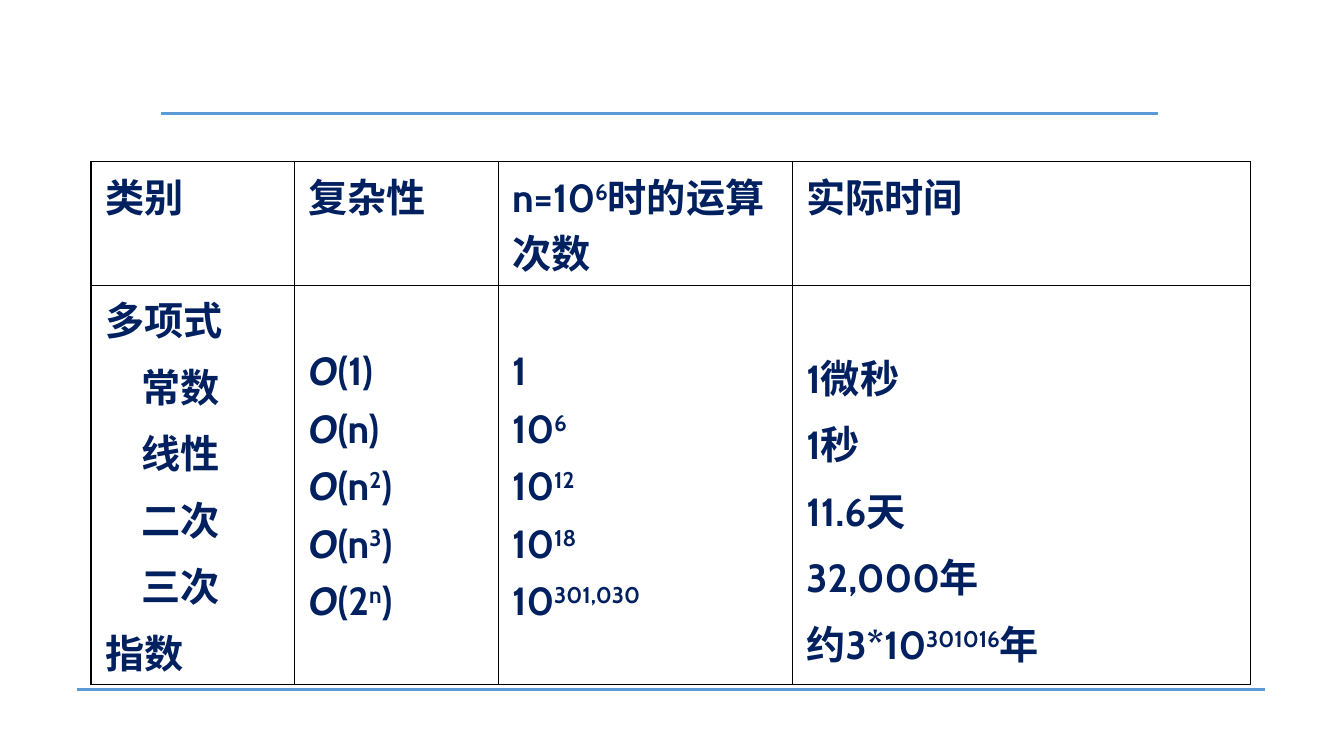
from lxml import etree
from pptx import Presentation
from pptx.dml.color import RGBColor
from pptx.enum.lang import MSO_LANGUAGE_ID
from pptx.enum.shapes import MSO_CONNECTOR
from pptx.oxml.ns import qn
from pptx.util import Cm, Pt

STRAIGHT = MSO_CONNECTOR.STRAIGHT
CHINESE = MSO_LANGUAGE_ID.SIMPLIFIED_CHINESE
NAVY = RGBColor(0x00, 0x20, 0x60)
BLUE = RGBColor(0x5B, 0x9B, 0xD5)
BLACK = RGBColor(0x00, 0x00, 0x00)
FONT = "Cabin"
OUTER, INNER = Pt(1.08), Pt(0.45)
NORMAL, ITALIC, SUPER = "normal", "italic", "super"

COLUMN_WIDTHS = [5.13, 5.13, 7.42, 11.56]
ROW_HEIGHTS = [3.12, 10.03]
SIDE_MARGIN, EDGE_MARGIN = Cm(0.36), Cm(0.13)
SKIPPED_LINE = Cm(1.45)
SUBCLASS_INDENT = Cm(0.91)


def plain(text):
    return [(text, NORMAL)]


def power(base, exponent, rest=""):
    runs = [(base, NORMAL), (exponent, SUPER), (rest, NORMAL)]
    return [run for run in runs if run[0]]


def big_o(argument):
    return [("O", ITALIC)] + argument


HEADINGS = [
    plain("类别"),
    plain("复杂性"),
    power("n=10", "6", "时的运算次数"),
    plain("实际时间"),
]
SUBCLASSES = ["常数", "线性", "二次", "三次"]
CLASSES = [plain(name) for name in ["多项式", *SUBCLASSES, "指数"]]
COMPLEXITIES = [
    big_o(plain("(1)")),
    big_o(plain("(n)")),
    big_o(power("(n", "2", ")")),
    big_o(power("(n", "3", ")")),
    big_o(power("(2", "n", ")")),
]
OPERATIONS = [plain("1")] + [power("10", e) for e in ["6", "12", "18", "301,030"]]
TIMES = [plain(t) for t in ["1微秒", "1秒", "11.6天", "32,000年"]]
TIMES.append(power("约3*10", "301016", "年"))
ROWS = [[[heading] for heading in HEADINGS],
        [CLASSES, COMPLEXITIES, OPERATIONS, TIMES]]


def add_rule(slide, left, top, width):
    rule = slide.shapes.add_connector(
        STRAIGHT, Cm(left), Cm(top), Cm(left + width), Cm(top))
    rule.line.color.rgb = BLUE
    rule.line.width = Pt(2.25)
    etree.SubElement(rule._element.spPr, qn("a:effectLst"))


def set_borders(cell, widths):
    properties = cell._tc.get_or_add_tcPr()
    for side, width in widths.items():
        border = etree.SubElement(properties, qn(f"a:ln{side}"), w=str(width))
        fill = etree.SubElement(border, qn("a:solidFill"))
        etree.SubElement(fill, qn("a:srgbClr"), val=str(BLACK))
    cell.fill.background()


def write_runs(paragraph, runs):
    for text, style in runs:
        run = paragraph.add_run()
        run.text = text
        run.font.name = FONT
        run.font.size = Pt(28)
        run.font.bold = True
        run.font.italic = style == ITALIC
        run.font.color.rgb = NAVY
        run.font.language_id = CHINESE
        if style == SUPER:
            run._r.get_or_add_rPr().set("baseline", "30000")


def fill_cell(cell, lines):
    cell.margin_left = cell.margin_right = SIDE_MARGIN
    cell.margin_top = cell.margin_bottom = EDGE_MARGIN
    frame = cell.text_frame
    for index, runs in enumerate(lines):
        paragraph = frame.add_paragraph() if index else frame.paragraphs[0]
        if index:
            paragraph.space_before = Pt(7)
        if runs[0][0] in SUBCLASSES:
            paragraph._p.get_or_add_pPr().set("marL", str(SUBCLASS_INDENT))
        write_runs(paragraph, runs)


def add_complexity_table(slide, left, top):
    table = slide.shapes.add_table(
        len(ROWS), len(COLUMN_WIDTHS), Cm(left), Cm(top),
        Cm(sum(COLUMN_WIDTHS)), Cm(sum(ROW_HEIGHTS))).table
    table.first_row = table.horz_banding = False
    for column, width in zip(table.columns, COLUMN_WIDTHS):
        column.width = Cm(width)
    for row, height in zip(table.rows, ROW_HEIGHTS):
        row.height = Cm(height)
    last_row, last_column = len(ROWS) - 1, len(COLUMN_WIDTHS) - 1
    for r, row in enumerate(ROWS):
        for c, lines in enumerate(row):
            cell = table.cell(r, c)
            fill_cell(cell, lines)
            if r and c:
                cell.margin_top = EDGE_MARGIN + SKIPPED_LINE
            set_borders(cell, {
                "L": OUTER if c == 0 else INNER,
                "R": OUTER if c == last_column else INNER,
                "T": OUTER if r == 0 else INNER,
                "B": OUTER if r == last_row else INNER,
            })


def main():
    deck = Presentation()
    deck.slide_width, deck.slide_height = Cm(33.88), Cm(19.05)
    slide = deck.slides.add_slide(deck.slide_layouts[6])
    add_rule(slide, 4.07, 2.87, 25.12)
    add_rule(slide, 1.93, 17.37, 29.95)
    add_complexity_table(slide, 2.29, 4.07)
    deck.save("out.pptx")


if __name__ == "__main__":
    main()
